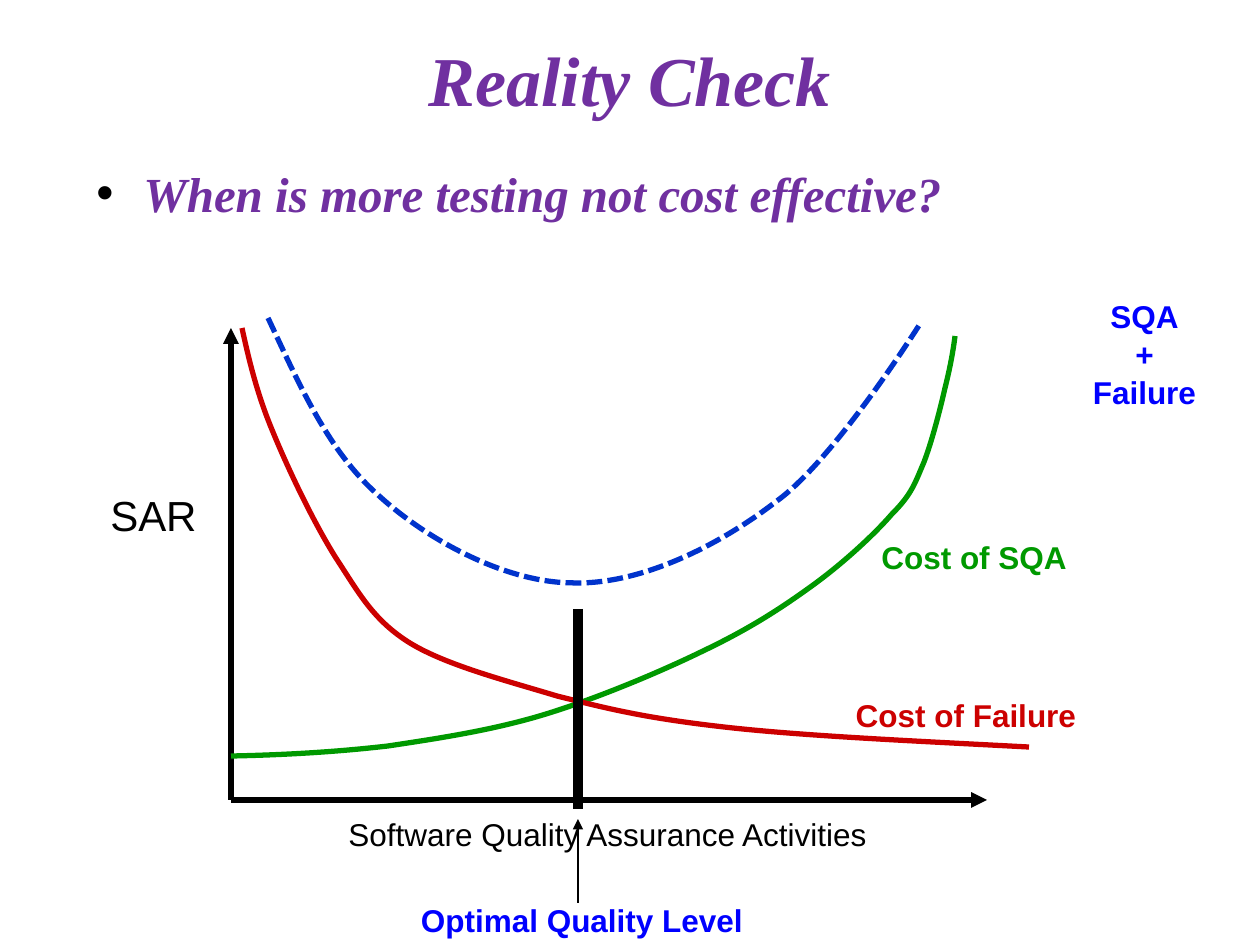
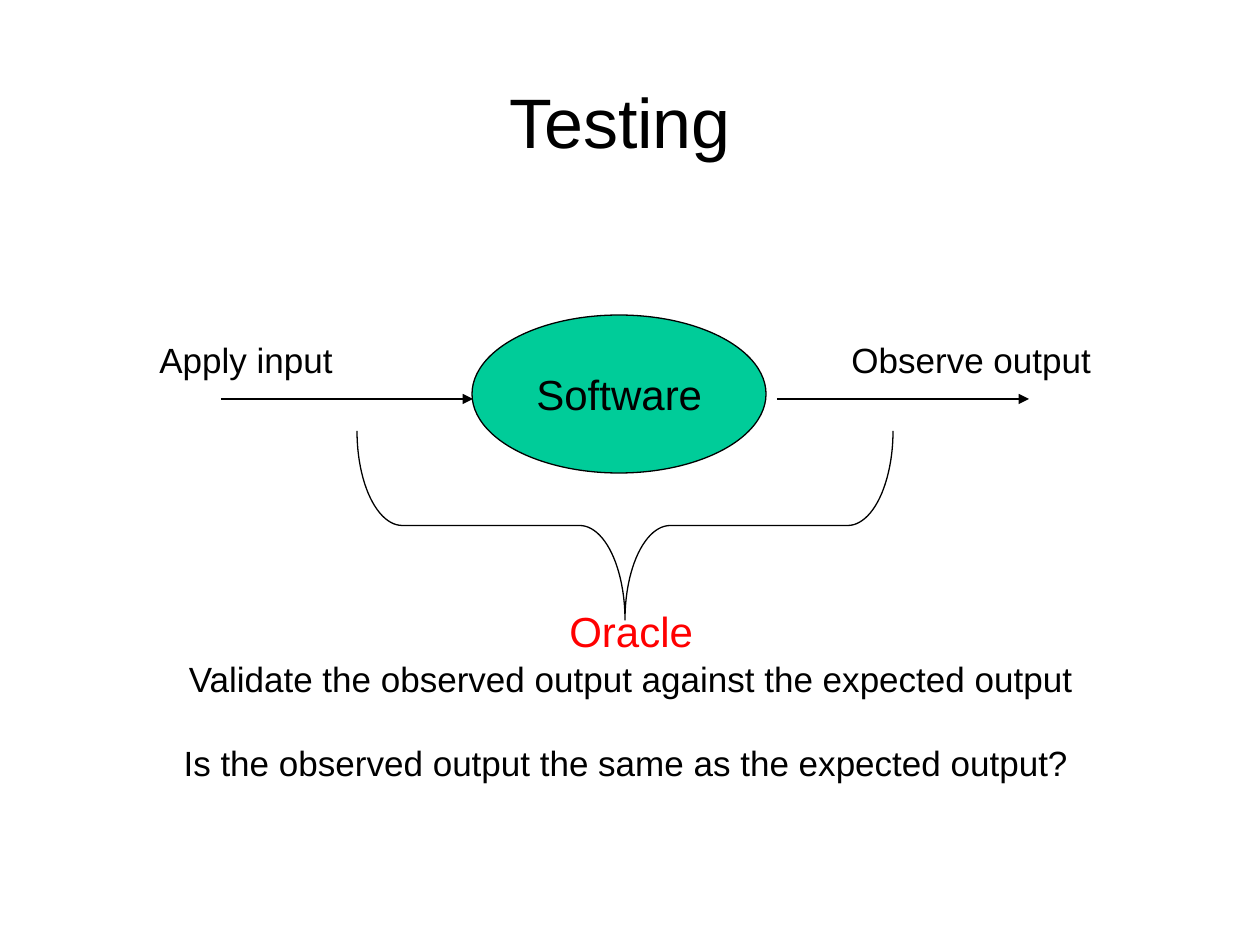
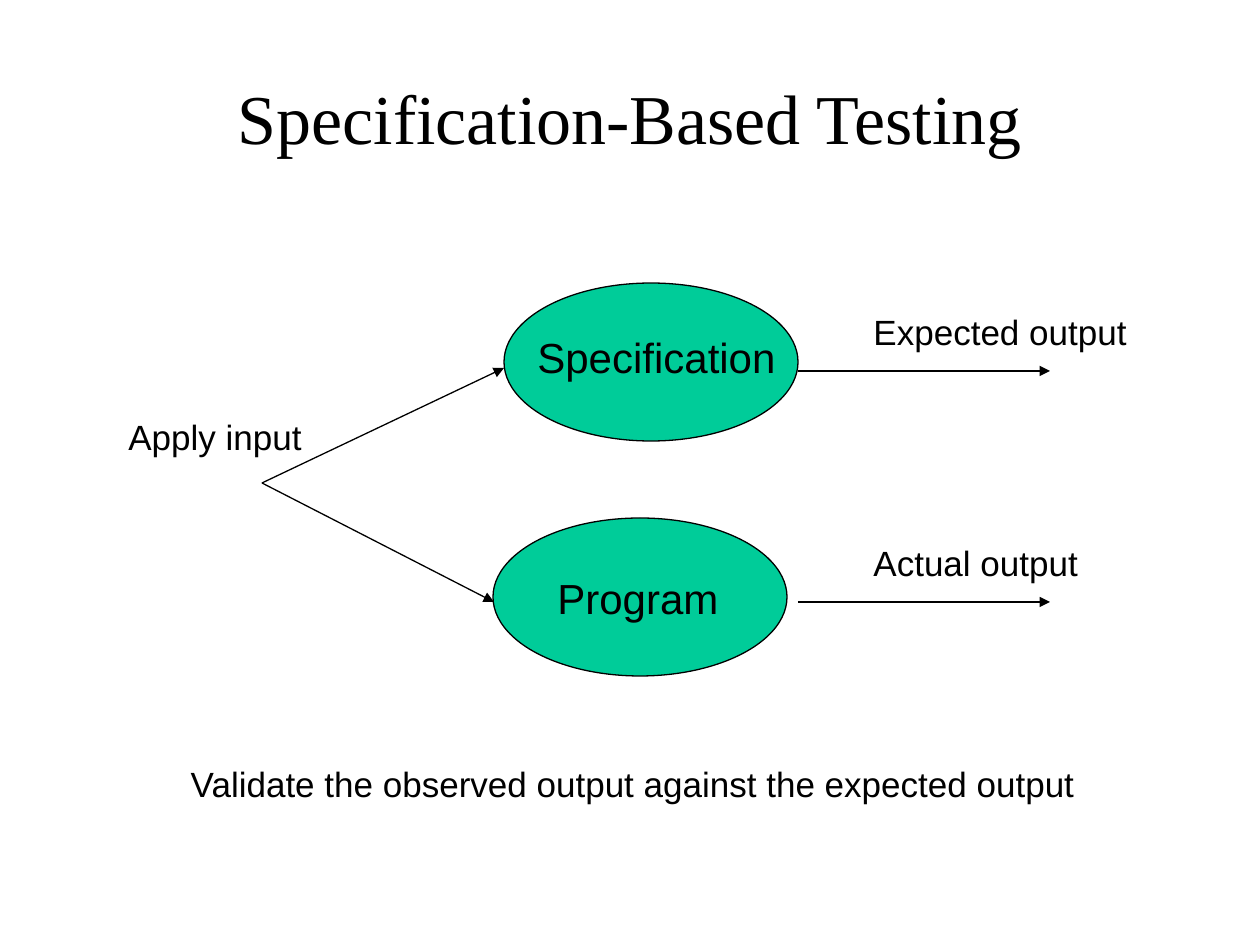
from lxml.etree import SubElement
from pptx import Presentation
from pptx.dml.color import RGBColor
from pptx.enum.dml import MSO_LINE_DASH_STYLE as DASH
from pptx.enum.shapes import MSO_CONNECTOR, MSO_SHAPE
from pptx.enum.text import MSO_ANCHOR, MSO_AUTO_SIZE, PP_ALIGN
from pptx.oxml.ns import qn
from pptx.util import Emu, Pt

PX = 914400 / 126
SANS, SERIF = "Arial", "Times New Roman"
BLACK, PURPLE, BLUE, DASH_BLUE = "000000", "7030A0", "0000FF", "0033CC"
GREEN, RED, ORACLE_RED, TEAL = "009900", "CC0000", "FF0000", "00CC99"
LEFT, CENTER = PP_ALIGN.LEFT, PP_ALIGN.CENTER
VALIDATE = "Validate the observed output against the expected output"


def px(n):
    return Emu(round(n * PX))


def rgb(color):
    return RGBColor.from_string(color)


# Text

def text(slide, words, x, y, w, h, size=18, color=BLACK, font=SANS,
         align=LEFT, bold=False, italic=False, wrap=False):
    s = slide.shapes.add_textbox(px(x), px(y), px(w), px(h))
    tf = s.text_frame
    tf.text = words
    tf.word_wrap = wrap
    tf.auto_size = MSO_AUTO_SIZE.NONE if wrap else MSO_AUTO_SIZE.SHAPE_TO_FIT_TEXT
    for p in tf.paragraphs:
        p.alignment = align
        for r in p.runs:
            f = r.font
            f.name, f.size, f.bold, f.italic = font, Pt(size), bold, italic
            f.color.rgb = rgb(color)
    return s


def title(slide, words, x, y, h, **style):
    s = text(slide, words, x, y, 1134, h, size=40, align=CENTER, wrap=True, **style)
    s.text_frame.vertical_anchor = MSO_ANCHOR.MIDDLE


def bullet(slide, words, x, y, w, h, **style):
    s = text(slide, words, x, y, w, h, wrap=True, **style)
    p = s.text_frame.paragraphs[0]
    p.space_before = Pt(8)
    pPr = p._p.get_or_add_pPr()
    pPr.set("marL", str(px(47)))
    pPr.set("indent", str(px(-47)))
    SubElement(SubElement(pPr, qn("a:buClr")), qn("a:srgbClr"), val=BLACK)
    SubElement(pPr, qn("a:buFont"), typeface=SANS)
    SubElement(pPr, qn("a:buChar"), char="•")


# Lines and shapes

def outline(s, color=BLACK, width=0.75):
    s.line.color.rgb = rgb(color)
    s.line.width = Pt(width)


def line(slide, x1, y1, x2, y2, width=0.75, arrow=True):
    s = slide.shapes.add_connector(MSO_CONNECTOR.STRAIGHT, px(x1), px(y1), px(x2), px(y2))
    outline(s, width=width)
    if arrow:
        SubElement(s.line._get_or_add_ln(), qn("a:tailEnd"), type="triangle")
    SubElement(s._element.spPr, qn("a:effectLst"))


def curve(slide, knots, color, dash=None):
    """Draw chained cubic curves: a start, then two controls and an end for each."""
    start, *rest = [(px(x), px(y)) for x, y in knots]
    builder = slide.shapes.build_freeform(*start)
    builder.add_line_segments(rest, close=False)
    s = builder.convert_to_shape()
    outline_path = s._element.find(".//" + qn("a:path"))
    steps = outline_path.findall(qn("a:lnTo"))
    for i in range(0, len(steps), 3):
        cubic = SubElement(outline_path, qn("a:cubicBezTo"))
        for step in steps[i:i + 3]:
            cubic.append(step[0])
            outline_path.remove(step)
    s.shadow.inherit = False
    s.fill.background()
    outline(s, color, 3)
    if dash:
        s.line.dash_style = dash


def ellipse(slide, x, y):
    s = slide.shapes.add_shape(MSO_SHAPE.OVAL, px(x), px(y), px(294), px(158))
    s.shadow.inherit = False
    s.fill.solid()
    s.fill.fore_color.rgb = rgb(TEAL)
    outline(s)


def brace_below(slide, x, y, w, h):
    s = slide.shapes.add_shape(MSO_SHAPE.LEFT_BRACE, px(x + (w - h) / 2),
                               px(y + (h - w) / 2), px(h), px(w))
    s.rotation = 270
    s.adjustments[0] = 0.24
    s.shadow.inherit = False
    s.fill.background()
    outline(s)


def flow(slide, words, x, y, label_x, label_w):
    """Horizontal arrow with its label above."""
    line(slide, x, y, x + 252, y)
    text(slide, words, label_x, y - 67, label_w, 55, size=20)


# Slides

def reality_check(slide):
    heading = dict(font=SERIF, color=PURPLE, bold=True, italic=True)
    title(slide, "Reality Check", 63, 0, 157, **heading)
    bullet(slide, "When is more testing not cost effective?", 84, 157, 1134, 73,
           size=28, **heading)

    # Axes
    line(slide, 231, 800, 231, 328, width=3)
    line(slide, 231, 800, 987, 800, width=3)
    text(slide, "Software Quality Assurance Activities", 332, 809, 551, 50, align=CENTER)
    text(slide, "SAR", 96, 483, 115, 63, size=24, align=CENTER)

    # Cost curves
    text(slide, "Cost of SQA", 869, 532, 214, 50, color=GREEN, bold=True)
    curve(slide, [
        (231, 756), (284, 755), (336, 752), (388, 746), (441, 738), (494, 730),
        (546, 714), (598, 698), (660, 672), (703, 651), (747, 630), (777, 611),
        (809, 588), (840, 566), (873, 536), (892, 514), (912, 494), (915, 483),
        (924, 462), (932, 441), (940, 410), (945, 388), (950, 368), (953, 352),
        (955, 336)], GREEN)
    curve(slide, [
        (1029, 747), (916, 741), (803, 736), (724, 727), (645, 718), (609, 709),
        (557, 696), (504, 680), (446, 665), (410, 643), (373, 620), (359, 593),
        (336, 558), (314, 523), (289, 471), (273, 432), (257, 394), (249, 360),
        (242, 328)], RED)
    text(slide, "Cost of Failure", 841, 690, 250, 50, color=RED, align=CENTER, bold=True)
    text(slide, "SQA\n+\nFailure", 1078, 291, 133, 126, color=BLUE, align=CENTER, bold=True)

    # Optimal level
    line(slide, 578, 609, 578, 809, width=6, arrow=False)
    line(slide, 578, 903, 578, 819)
    text(slide, "Optimal Quality Level", 406, 895, 352, 50, color=BLUE,
         align=CENTER, bold=True)
    curve(slide, [
        (268, 318), (299, 384), (328, 451), (378, 495), (428, 541), (507, 583),
        (573, 583), (640, 585), (719, 546), (777, 501), (835, 459), (920, 324),
        (920, 324)], DASH_BLUE, DASH.SQUARE_DOT)


def testing(slide):
    title(slide, "Testing", 53, 42, 157)
    ellipse(slide, 472, 315)
    text(slide, "Software", 524, 362, 194, 63, size=24)
    flow(slide, "Apply input", 221, 399, 147, 202)
    flow(slide, "Observe output", 777, 399, 839, 269)

    # Oracle
    brace_below(slide, 357, 431, 536, 189)
    s = text(slide, VALIDATE + "\nIs the observed output the same as the expected output? ",
             169, 651, 924, 139, size=20, align=CENTER)
    s.text_frame.paragraphs[1].space_before = Pt(24)
    text(slide, "Oracle", 557, 599, 153, 63, size=24, color=ORACLE_RED)


def specification_based(slide):
    title(slide, "Specification-Based Testing", 63, 26, 180, font=SERIF)
    ellipse(slide, 493, 518)
    text(slide, "Program", 545, 566, 190, 63, size=24)
    line(slide, 262, 483, 494, 602)
    flow(slide, "Actual output", 798, 602, 861, 233)
    ellipse(slide, 504, 283)
    text(slide, "Specification", 525, 325, 267, 63, size=24)
    line(slide, 262, 483, 504, 368)
    text(slide, "Apply input", 116, 409, 202, 55, size=20)
    flow(slide, "Expected output", 798, 371, 861, 282)
    text(slide, VALIDATE, 175, 756, 916, 55, size=20, align=CENTER)


def main():
    prs = Presentation()
    prs.slide_width, prs.slide_height = px(1260), px(945)
    for build in (reality_check, testing, specification_based):
        build(prs.slides.add_slide(prs.slide_layouts[6]))
    prs.save("out.pptx")


if __name__ == "__main__":
    main()
